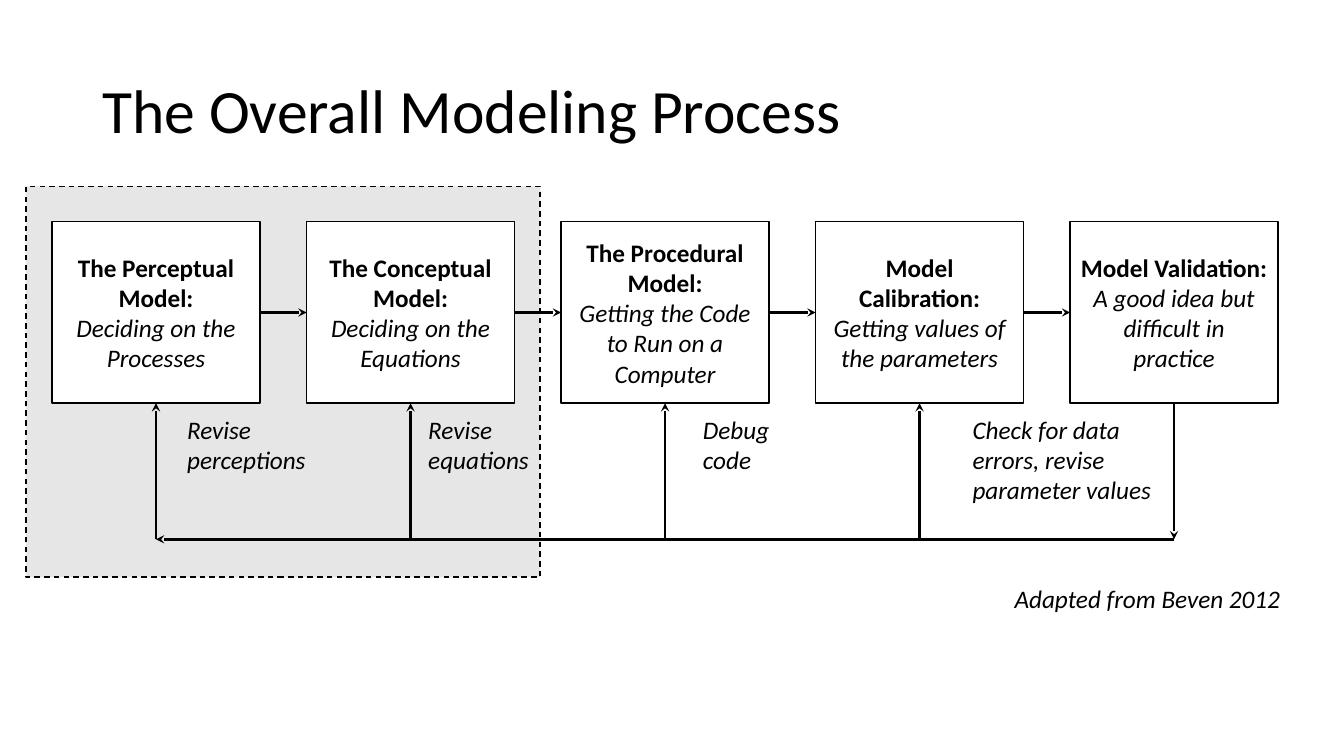
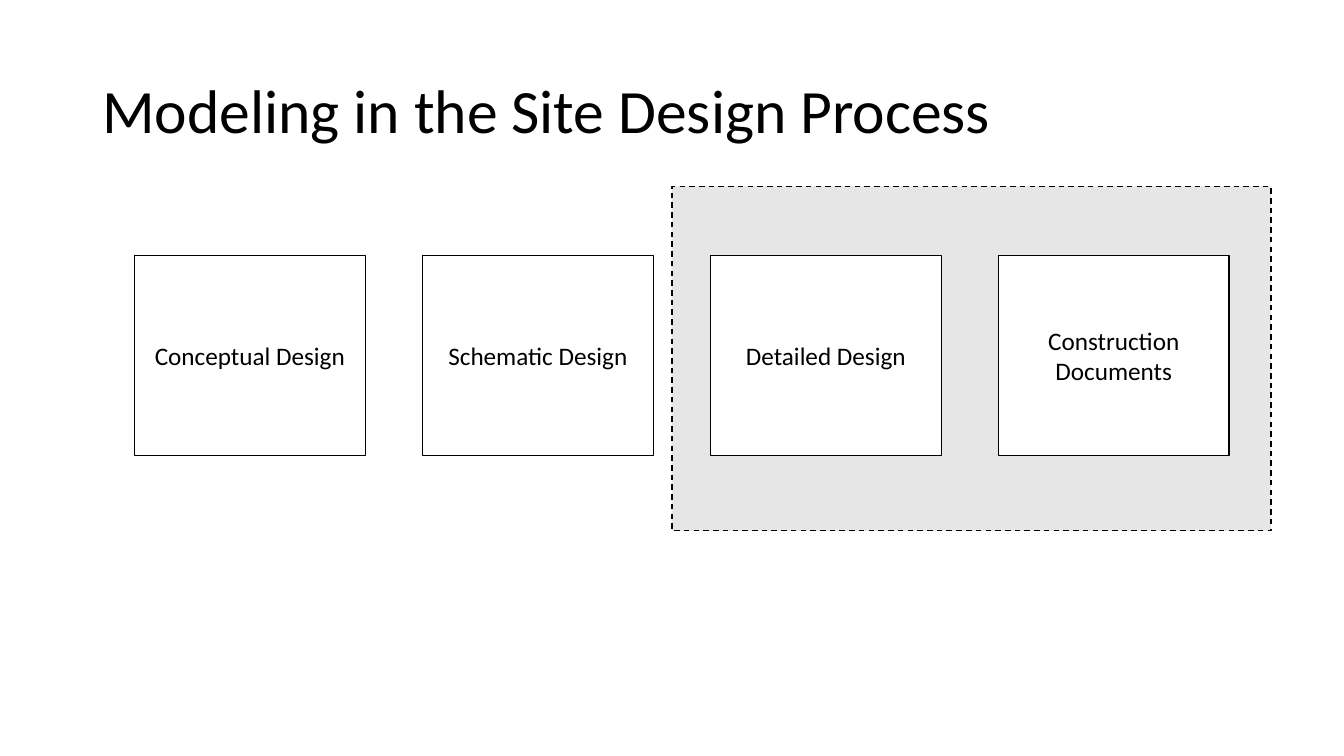
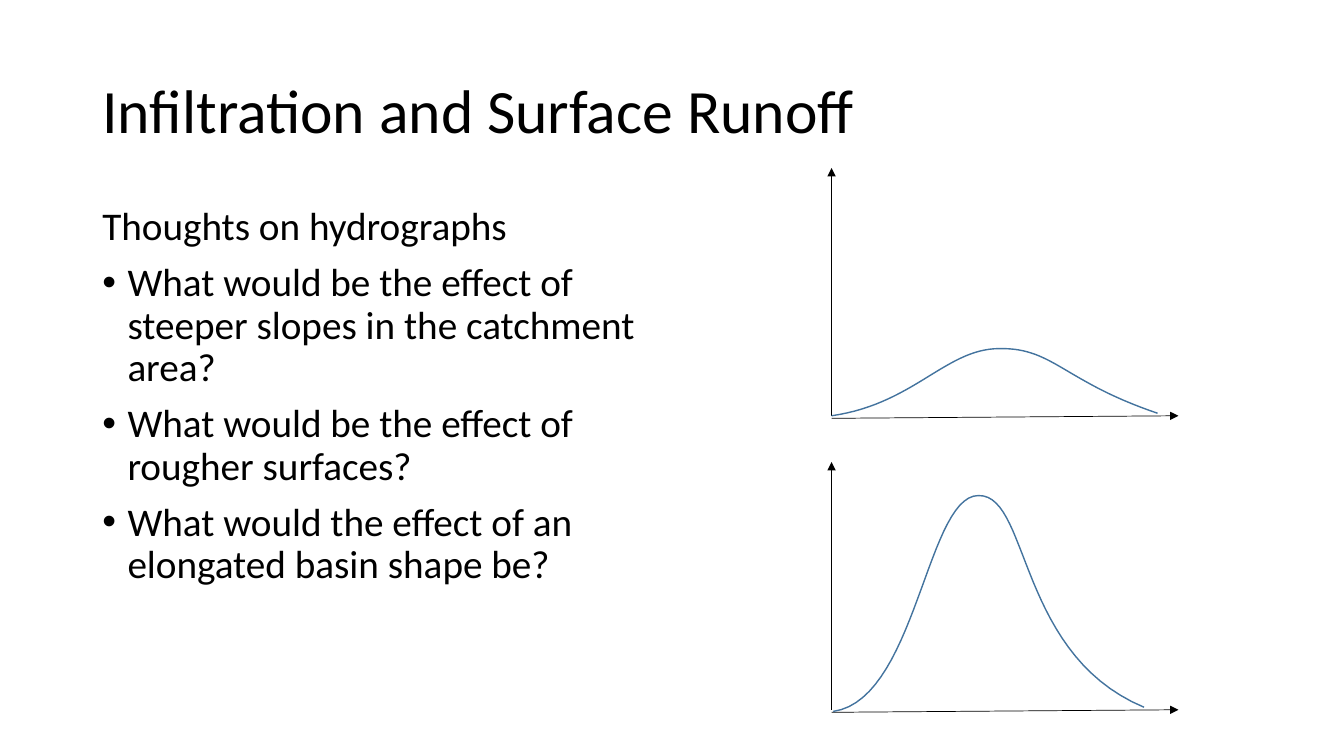
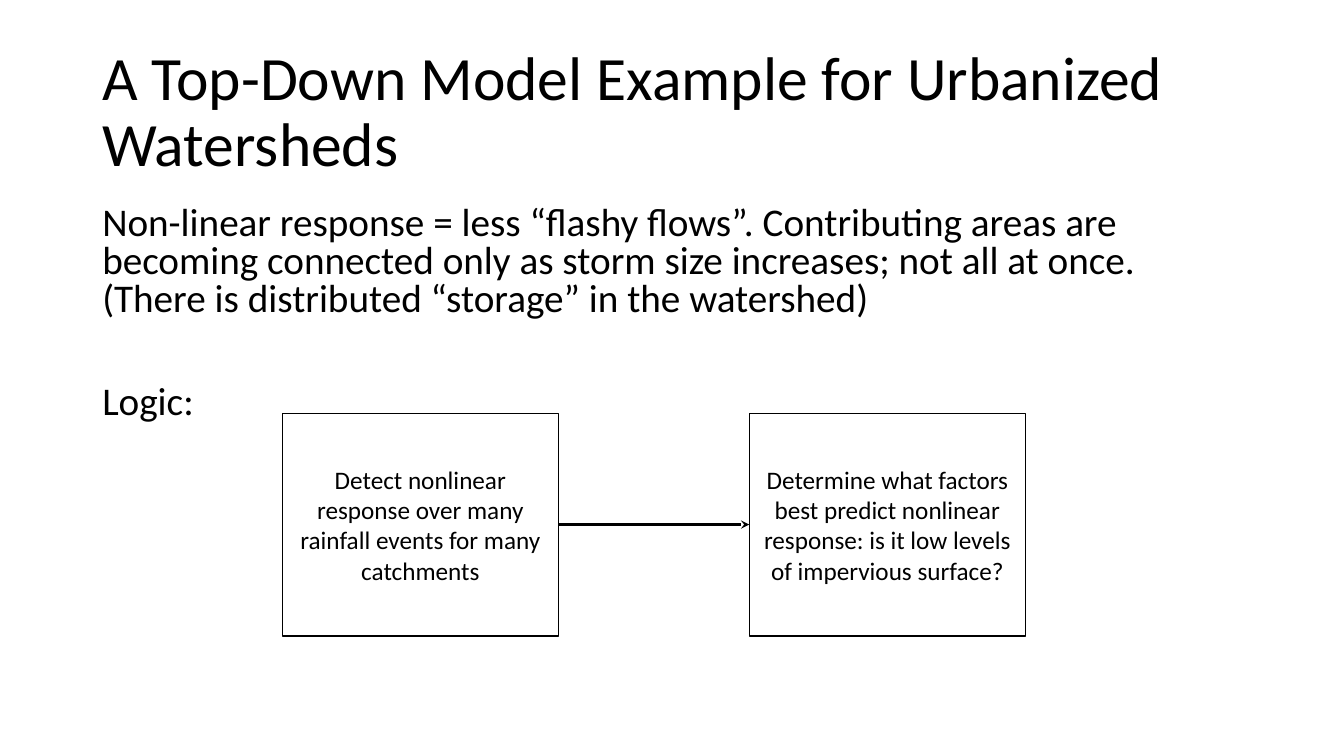
from lxml.etree import SubElement
from pptx import Presentation
from pptx.dml.color import RGBColor
from pptx.enum.dml import MSO_LINE
from pptx.enum.shapes import MSO_CONNECTOR, MSO_SHAPE
from pptx.enum.text import MSO_ANCHOR, PP_ALIGN
from pptx.oxml.ns import qn
from pptx.util import Inches, Pt

BLACK = RGBColor(0x00, 0x00, 0x00)
WHITE = RGBColor(0xFF, 0xFF, 0xFF)
GREY = RGBColor(0xE7, 0xE6, 0xE6)
BLUE = RGBColor(0x43, 0x73, 0x9E)

# The slide is a grid of 160 columns by 90 rows of square cells
COLS, ROWS = 160, 90
CELL = Inches(7.5) / ROWS

# Text formats
TITLE = {"size": Pt(44)}
BODY = {"size": Pt(28)}
PLAIN = {"size": Pt(18)}
BOLD = {**PLAIN, "bold": True}
ITALIC = {**PLAIN, "italic": True}

# Connection sites of a rectangle
LEFT, BOTTOM, RIGHT = 1, 2, 3


def grid(*cells):
    return [round(c * CELL) for c in cells]


def set_all(target, values):
    for name, value in values.items():
        setattr(target, name, value)


class Deck:
    """Holds the style, the presentation and the current slide."""

    font = "Calibri"

    def __init__(self):
        self.prs = Presentation()
        self.prs.slide_width, self.prs.slide_height = grid(COLS, ROWS)

    def slide(self, title):
        self.s = self.prs.slides.add_slide(self.prs.slide_layouts[6])
        self.text(11, 4.8, 138, 17.4, [(title, TITLE)],
                  {"line_spacing": 0.9}, anchor=MSO_ANCHOR.MIDDLE)

    def put_text(self, tf, paragraphs, layout):
        for i, (text, fmt) in enumerate(paragraphs):
            p = tf.paragraphs[0] if i == 0 else tf.add_paragraph()
            set_all(p, layout)
            r = p.add_run()
            r.text = text
            set_all(r.font, {"name": self.font, **fmt})
            r.font.color.rgb = BLACK

    def text(self, x, y, w, h, paragraphs, layout=None,
             anchor=MSO_ANCHOR.TOP, wrap=True):
        tf = self.s.shapes.add_textbox(*grid(x, y, w, h)).text_frame
        set_all(tf, {"word_wrap": wrap, "vertical_anchor": anchor})
        self.put_text(tf, paragraphs, layout or {})
        return tf

    def bullet(self, p):
        pPr = p._p.get_or_add_pPr()
        pPr.set("marL", str(Inches(0.25)))
        pPr.set("indent", str(-Inches(0.25)))
        SubElement(pPr, qn("a:buFont"), typeface="Arial")
        SubElement(pPr, qn("a:buChar"), char="•")

    def rect(self, x, y, w, h, fill):
        sp = self.s.shapes.add_shape(MSO_SHAPE.RECTANGLE, *grid(x, y, w, h))
        sp.shadow.inherit = False
        sp.fill.solid()
        sp.fill.fore_color.rgb = fill
        sp.line.color.rgb = BLACK
        sp.line.width = Pt(1)
        return sp

    def zone(self, x, y, w, h):
        self.rect(x, y, w, h, GREY).line.dash_style = MSO_LINE.DASH

    def boxes(self, x, y, w, h, pitch, contents):
        """A row of equal boxes, one for each list of paragraphs."""
        row = []
        for i, paragraphs in enumerate(contents):
            sp = self.rect(x + i * pitch, y, w, h, WHITE)
            set_all(sp.text_frame, {"word_wrap": True,
                                    "vertical_anchor": MSO_ANCHOR.MIDDLE})
            self.put_text(sp.text_frame, paragraphs,
                          {"alignment": PP_ALIGN.CENTER})
            row.append(sp)
        return row

    def arrow(self, x1, y1, x2, y2, width=2, head="stealth"):
        cxn = self.s.shapes.add_connector(MSO_CONNECTOR.STRAIGHT,
                                          *grid(x1, y1, x2, y2))
        cxn.line.color.rgb = BLACK
        cxn.line.width = Pt(width)
        SubElement(cxn.get_or_add_ln(), qn("a:tailEnd"), type=head)
        SubElement(cxn._element.spPr, qn("a:effectLst"))
        return cxn

    def chain(self, row):
        """Arrows from each box to the next."""
        for a, b in zip(row, row[1:]):
            cxn = self.arrow(0, 0, 0, 0)
            cxn.begin_connect(a, RIGHT)
            cxn.end_connect(b, LEFT)

    def curve(self, x, y, points, steps=30):
        """Cubic Bézier segments, with points counted from (x, y)."""
        line = [points[0]]
        for k in range(0, len(points) - 1, 3):
            for n in range(1, steps + 1):
                t = n / steps
                weights = ((1 - t) ** 3, 3 * t * (1 - t) ** 2,
                           3 * t * t * (1 - t), t ** 3)
                line.append([sum(c * v for c, v in zip(weights, axis))
                             for axis in zip(*points[k:k + 4])])
        line = [grid(x + px, y + py) for px, py in line]
        fb = self.s.shapes.build_freeform(*line[0])
        fb.add_line_segments(line[1:], close=False)
        sp = fb.convert_to_shape()
        sp.shadow.inherit = False
        sp.fill.background()
        sp.line.color.rgb = BLUE
        sp.line.width = Pt(1)

    def hydrograph(self, x, y, points):
        self.arrow(x, y + 29.5, x, y, 0.5, "triangle")
        self.arrow(x, y + 29.8, x + 41.3, y + 29.5, 0.5, "triangle")
        self.curve(x, y, points)


def modeling_process(d):
    d.slide("The Overall Modeling Process")
    d.zone(3.1, 22.2, 61.2, 46.5)

    # Steps
    steps = [
        ("The Perceptual Model:", "Deciding on the Processes"),
        ("The Conceptual Model:", "Deciding on the Equations"),
        ("The Procedural Model:", "Getting the Code to Run on a Computer"),
        ("Model Calibration:", "Getting values of the parameters"),
        ("Model Validation:", "A good idea but difficult in practice"),
    ]
    x, y, w, h, pitch = 6.2, 26.4, 24.75, 21.6, 30.3
    row = d.boxes(x, y, w, h, pitch,
                  [[(name, BOLD), (task, ITALIC)] for name, task in steps])
    d.chain(row)

    # Feedback loop
    loop = 64.2
    middles = [x + w / 2 + i * pitch for i in range(len(row))]
    d.arrow(middles[-1], y + h, middles[-1], loop)
    d.arrow(middles[-1], loop, middles[0], loop)
    for middle, box in zip(middles[:-1], row):
        d.arrow(middle, loop, middle, y + h).end_connect(box, BOTTOM)

    # Labels
    for left, width, label in [
        (21.1, 19.7, "Revise perceptions"),
        (49.8, 17.9, "Revise equations"),
        (82.5, 14.5, "Debug code"),
        (114.6, 25.2, "Check for data errors, revise parameter values"),
    ]:
        d.text(left, 48.7, width, 8.5, [(label, ITALIC)])
    d.text(119.6, 68.8, 34.7, 4.8, [("Adapted from Beven 2012", ITALIC)],
           wrap=False)


def site_design(d):
    d.slide("Modeling in the Site Design Process")
    d.zone(80, 22.2, 71.3, 41)
    phases = ["Conceptual Design", "Schematic Design", "Detailed Design",
              "Construction Documents"]
    d.boxes(16, 30.4, 27.5, 23.8, 34.28, [[(t, PLAIN)] for t in phases])


def surface_runoff(d):
    d.slide("Infiltration and Surface Runoff")
    thoughts = [
        "Thoughts on hydrographs",
        "What would be the effect of steeper slopes in the catchment area?",
        "What would be the effect of rougher surfaces?",
        "What would the effect of an elongated basin shape be?",
    ]
    tf = d.text(11, 24, 70.2, 60.8, [(t, BODY) for t in thoughts],
                {"line_spacing": 0.9, "space_before": Pt(10)})
    for p in tf.paragraphs[1:]:
        d.bullet(p)

    # Hydrographs: a flat response above a peaked one
    flat = [(0, 29.5), (9.8, 28.1), (13.6, 21.5), (20, 21.5),
            (26.4, 21.4), (27.6, 25.4), (38.8, 29.2)]
    peaked = [(0.2, 29.7), (10.1, 28.3), (11.3, 4), (17.5, 4),
              (23.6, 3.9), (22.1, 22.9), (37.2, 29.2)]
    for i, points in enumerate([flat, peaked]):
        d.hydrograph(99, 20 + 35 * i, points)


def top_down_model(d):
    d.slide("A Top-Down Model Example for Urbanized Watersheds")
    response = ("Non-linear response = less “flashy flows”. Contributing "
                "areas are becoming connected only as storm size increases; "
                "not all at once. (There is distributed “storage” in the "
                "watershed)")
    tf = d.text(11, 24, 138, 29.4, [(response, BODY), ("Logic:", BODY)],
                {"line_spacing": 0.8, "space_before": Pt(10)})
    tf.paragraphs[1].space_before = Pt(47)

    # Logic
    logic = ["Detect nonlinear response over many rainfall events for many "
             "catchments",
             "Determine what factors best predict nonlinear response: is it "
             "low levels of impervious surface?"]
    d.chain(d.boxes(33.6, 49.2, 32.9, 26.5, 55.6,
                    [[(t, PLAIN)] for t in logic]))


def main():
    d = Deck()
    for build in (modeling_process, site_design, surface_runoff,
                  top_down_model):
        build(d)
    d.prs.save("out.pptx")


if __name__ == "__main__":
    main()
